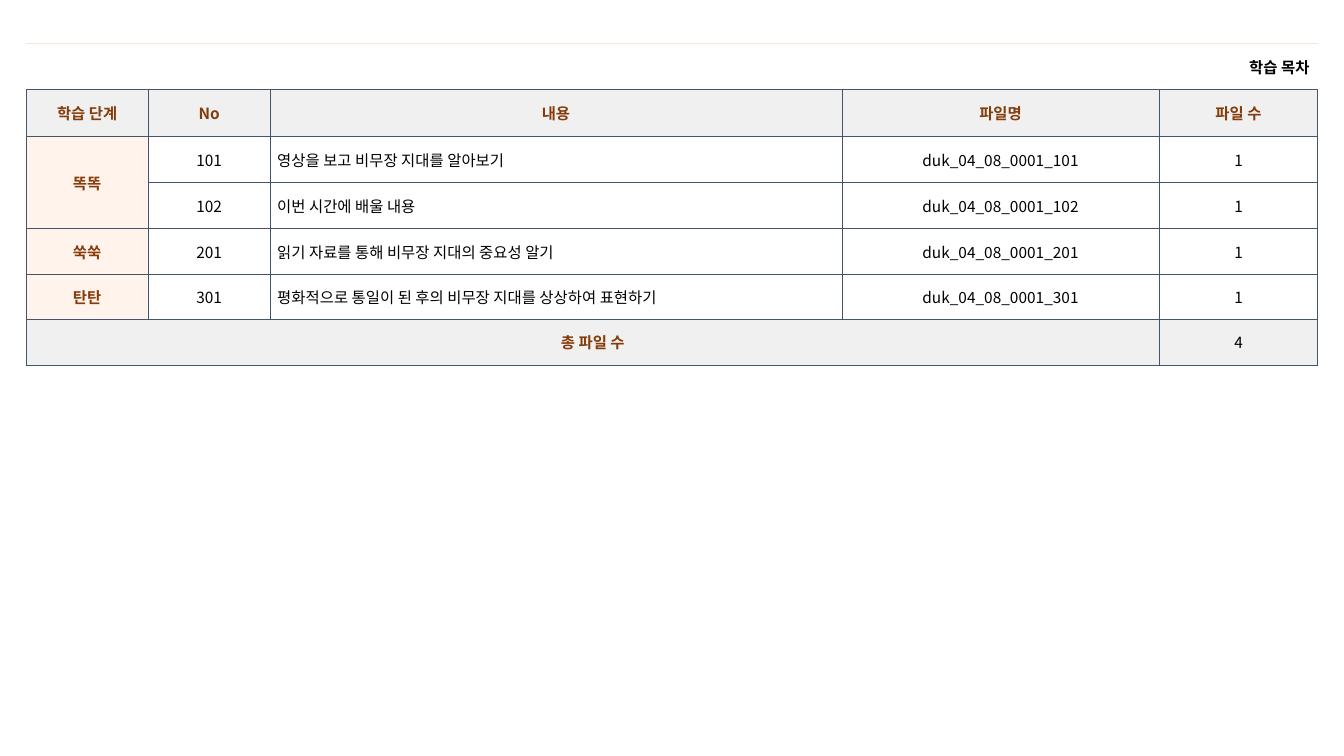
from dataclasses import dataclass

from lxml.etree import SubElement
from pptx import Presentation
from pptx.dml.color import RGBColor
from pptx.enum.text import MSO_ANCHOR, PP_ALIGN
from pptx.oxml.ns import qn
from pptx.util import Inches, Pt


@dataclass(frozen=True)
class Theme:
    font: str = "Noto Sans CJK KR"
    size: float = 11
    ink: str = "000000"
    heading: str = "843C0B"
    band: str = "F1F0F0"
    stage: str = "FFF3EB"
    paper: str = "FFFFFF"
    grid: str = "44546A"
    rule: str = "FBE5D6"


theme = Theme()


def set_border(cell, side, color, width):
    ln = SubElement(cell._tc.get_or_add_tcPr(), qn(f"a:ln{side}"), w=str(Pt(width)))
    if color is None:
        SubElement(ln, qn("a:noFill"))
    else:
        fill = SubElement(ln, qn("a:solidFill"))
        SubElement(fill, qn("a:srgbClr"), val=color)


def set_cell(cell, text, fill, color, bold, align):
    cell.vertical_anchor = MSO_ANCHOR.MIDDLE
    cell.margin_left = cell.margin_right = Inches(0.07)
    cell.margin_top = cell.margin_bottom = Inches(0.05)
    if fill is None:
        cell.fill.background()
    else:
        cell.fill.solid()
        cell.fill.fore_color.rgb = RGBColor.from_string(fill)
    p = cell.text_frame.paragraphs[0]
    p.text = text
    p.alignment = align
    p.font.size = Pt(theme.size)
    for r in p.runs:
        r.font.name = theme.font
        r.font.size = Pt(theme.size)
        r.font.bold = bold
        r.font.color.rgb = RGBColor.from_string(color)
        SubElement(r.font._element, qn("a:ea"), typeface=theme.font)


rows = [
    ["학습 목차", "", "", "", ""],
    ["학습 단계", "No", "내용", "파일명", "파일 수"],
    ["똑똑", "101", "영상을 보고 비무장 지대를 알아보기", "duk_04_08_0001_101", "1"],
    ["", "102", "이번 시간에 배울 내용", "duk_04_08_0001_102", "1"],
    ["쑥쑥", "201", "읽기 자료를 통해 비무장 지대의 중요성 알기", "duk_04_08_0001_201", "1"],
    ["탄탄", "301", "평화적으로 통일이 된 후의 비무장 지대를 상상하여 표현하기", "duk_04_08_0001_301", "1"],
    ["총 파일 수", "", "", "", "4"],
]
widths = [1.21, 1.21, 5.67, 3.15, 1.57]
heights = [0.46] * 4 + [0.45] * 3
merges = [((0, 0), (0, 4)), ((2, 0), (3, 0)), ((6, 0), (6, 3))]
title_row, header_row, total_row = 0, 1, len(rows) - 1
stage_col, content_col, count_col = 0, 2, 4

prs = Presentation()
prs.slide_width = Inches(13.33)
prs.slide_height = Inches(7.5)
s = prs.slides.add_slide(prs.slide_layouts[6])

table = s.shapes.add_table(
    len(rows), len(widths), Inches(0.26), Inches(0.43),
    Inches(sum(widths)), Inches(sum(heights)),
).table
table.first_row = False
table.horz_banding = False
for col, width in zip(table.columns, widths):
    col.width = Inches(width)
for row, height in zip(table.rows, heights):
    row.height = Inches(height)
for start, end in merges:
    table.cell(*start).merge(table.cell(*end))

for i, row in enumerate(rows):
    for j, text in enumerate(row):
        cell = table.cell(i, j)
        for side in "LRTB":
            if i == title_row and side == "T":
                set_border(cell, side, theme.rule, 0.25)
            elif i == title_row and side in "LR":
                set_border(cell, side, None, 0.5)
            else:
                set_border(cell, side, theme.grid, 0.5)

        fill, color, bold, align = theme.paper, theme.ink, False, PP_ALIGN.CENTER
        if i == title_row:
            fill, bold, align = None, True, PP_ALIGN.RIGHT
        elif i == header_row:
            fill, color, bold = theme.band, theme.heading, True
        elif i == total_row:
            fill = theme.band
            if j != count_col:
                color, bold = theme.heading, True
        elif j == stage_col:
            fill, color, bold = theme.stage, theme.heading, True
        elif j == content_col:
            align = PP_ALIGN.LEFT
        set_cell(cell, text, fill, color, bold, align)

title = table.cell(title_row, 0)
title.margin_left = title.margin_right = Inches(0.08)

prs.save("out.pptx")
